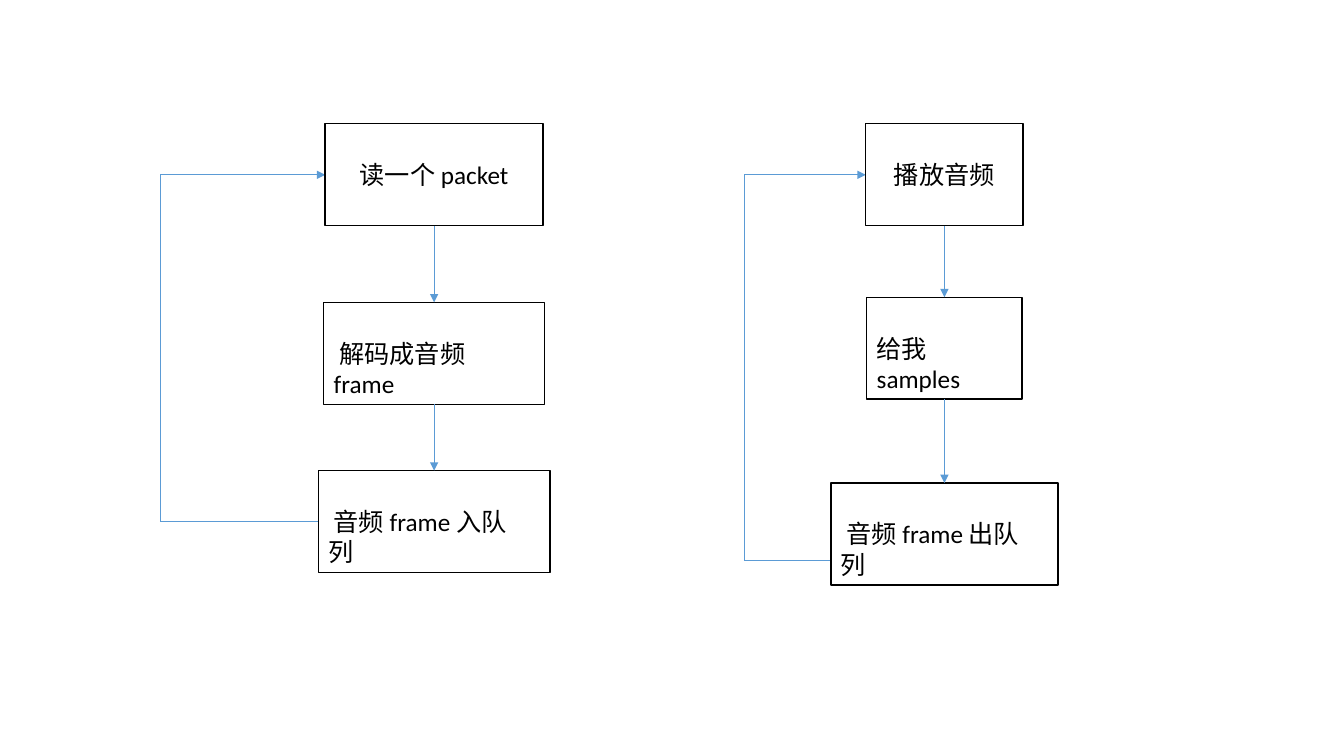
"""Build a slide with two audio loops: decoding into a queue and playing from it."""
from lxml import etree
from pptx import Presentation
from pptx.dml.color import RGBColor
from pptx.enum.shapes import MSO_CONNECTOR, MSO_SHAPE
from pptx.enum.text import MSO_ANCHOR, PP_ALIGN
from pptx.oxml.ns import qn
from pptx.util import Cm, Pt

STRAIGHT = MSO_CONNECTOR.STRAIGHT
ELBOW = MSO_CONNECTOR.ELBOW
RECTANGLE = MSO_SHAPE.RECTANGLE
TOP = MSO_ANCHOR.TOP
LEFT, CENTER = PP_ALIGN.LEFT, PP_ALIGN.CENTER

COLORS = {"box": "FFFFFF", "ink": "000000", "flow": "5B9BD5"}
FONT = "Calibri"
STEP_HEIGHT = 2.57

LOOPS = [
    {"center": 10.94, "return_x": 4.04, "return_y": 13.14, "steps": [
        ("读一个 packet", 3.12, 5.49, CENTER, 0),
        ("解码成音频 frame", 7.62, 5.56, LEFT, 0.14),
        ("音频 frame 入队列", 11.86, 5.84, LEFT, 0.14)]},
    {"center": 23.8, "return_x": 18.75, "return_y": 14.12, "steps": [
        ("播放音频", 3.12, 3.96, CENTER, 0),
        ("给我samples", 7.49, 3.91, LEFT, 0),
        ("音频 frame 出队列", 12.17, 5.72, LEFT, 0.14)]},
]

prs = Presentation()
prs.slide_width, prs.slide_height = Cm(33.87), Cm(19.05)
slide = prs.slides.add_slide(prs.slide_layouts[6])


def add_flow(x1, y1, x2, y2, kind=STRAIGHT, arrow=True):
    """Draw one thin flow line and return its shape properties."""
    flow = slide.shapes.add_connector(kind, Cm(x1), Cm(y1), Cm(x2), Cm(y2))
    flow.line.color.rgb = RGBColor.from_string(COLORS["flow"])
    flow.line.width = Pt(0.5)
    properties = flow._element.spPr
    if arrow:
        etree.SubElement(properties.find(qn("a:ln")), qn("a:tailEnd"), type="triangle")
    etree.SubElement(properties, qn("a:effectLst"))
    return properties


for loop in LOOPS:
    center, return_x, return_y = loop["center"], loop["return_x"], loop["return_y"]
    steps = loop["steps"]
    first_left = center - steps[0][2] / 2
    last_left = center - steps[-1][2] / 2
    entry_y = steps[0][1] + STEP_HEIGHT / 2

    rise, reach = return_y - entry_y, first_left - return_x
    mid_x, mid_y = return_x + reach / 2, entry_y + rise / 2
    elbow = add_flow(mid_x - rise / 2, mid_y - reach / 2,
                     mid_x + rise / 2, mid_y + reach / 2, ELBOW)
    elbow.find(qn("a:prstGeom")).set("prst", "bentConnector2")
    elbow.find(qn("a:xfrm")).set("rot", "16200000")
    add_flow(return_x, return_y, last_left, return_y, arrow=False)

    for label, top, width, align, indent in steps:
        step = slide.shapes.add_shape(RECTANGLE, Cm(center - width / 2), Cm(top),
                                      Cm(width), Cm(STEP_HEIGHT))
        step.shadow.inherit = False
        step.fill.solid()
        step.fill.fore_color.rgb = RGBColor.from_string(COLORS["box"])
        step.line.color.rgb = RGBColor.from_string(COLORS["ink"])
        step.line.width = Pt(1)
        frame = step.text_frame
        frame.word_wrap = True
        frame.vertical_anchor = TOP
        frame.margin_top, frame.margin_bottom = Cm(0.9), Cm(0)
        frame.margin_left = Cm(0.25)
        frame.margin_right = Cm(0.25 if align == CENTER else 0.5)
        paragraph = frame.paragraphs[0]
        paragraph.alignment = align
        paragraph._p.get_or_add_pPr().set("indent", str(Cm(indent)))
        run = paragraph.add_run()
        run.text = label
        run.font.name = FONT
        run.font.size = Pt(18)
        run.font.color.rgb = RGBColor.from_string(COLORS["ink"])

    for upper, lower in zip(steps, steps[1:]):
        add_flow(center, upper[1] + STEP_HEIGHT, center, lower[1])

prs.save("out.pptx")
